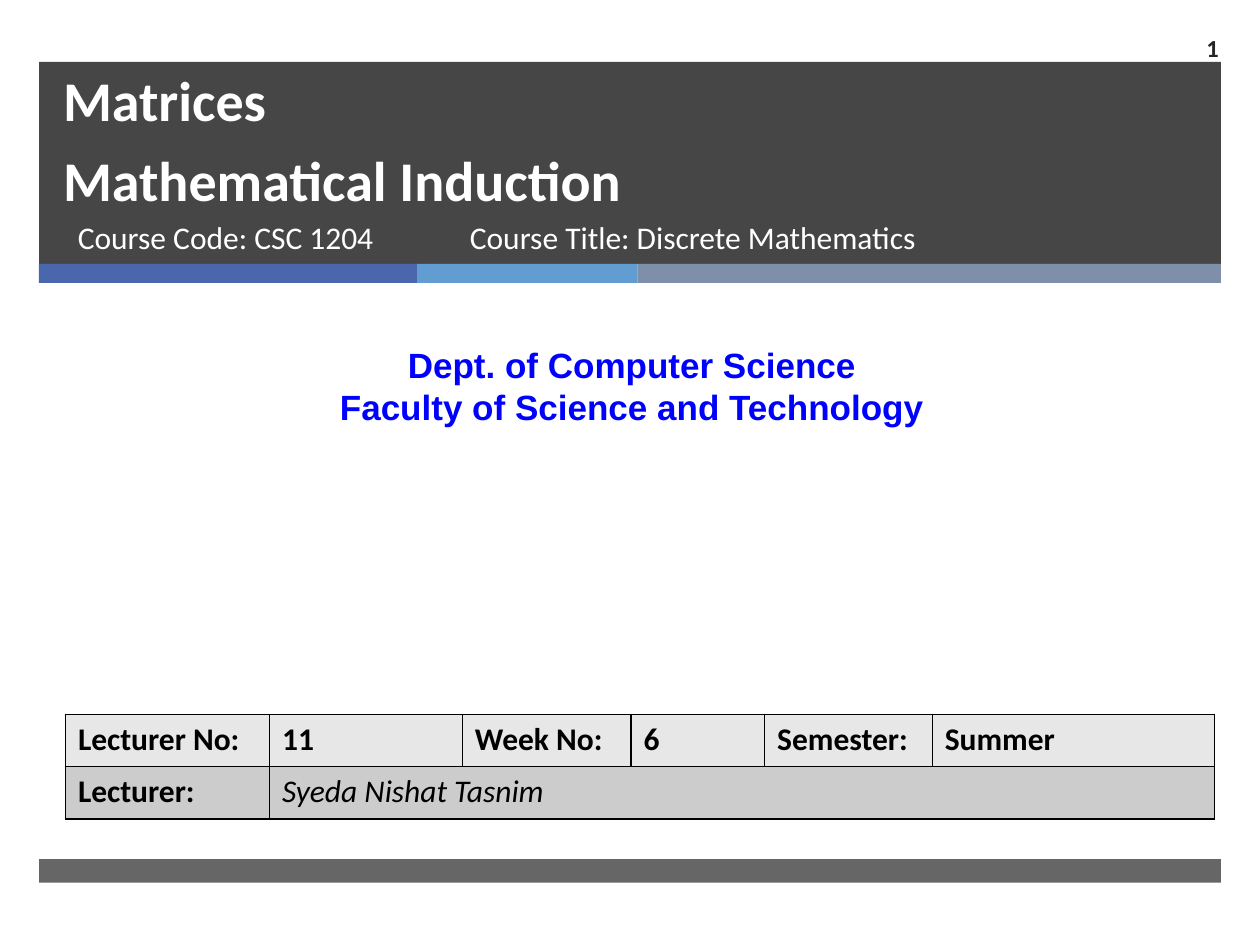
from lxml import etree
from pptx import Presentation
from pptx.dml.color import RGBColor
from pptx.enum import shapes, text
from pptx.oxml.ns import qn
from pptx.util import Pt

# Content
TITLE = "Matrices\vMathematical Induction"
DEPT = "Dept. of Computer Science\nFaculty of Science and Technology"
ROWS = [
    ["Lecturer No:", "11", "Week No:", "6", "Semester:", "Summer"],
    ["Lecturer:", "Syeda Nishat Tasnim"],
]
SHADES = ["E7E7E7", "CCCCCC"]
COLS = [116.6, 110.2, 96.5, 76.3, 95.8, 161.3]
ROW_H = 29.9

# Bands: left, top, width, height, colour, opacity in percent
LEFT, WIDE = 22.3, 675.4
BANDS = [
    (LEFT, 35.3, WIDE, 115.5, "262626", 85),
    (LEFT, 491, WIDE, 13.5, "262626", 70),
]
STRIPES = [(216, "4A66AC"), (126, "629DD1"), (333.4, "7F8FA9")]

# Text boxes: words, left, top, width, height, font, size, colour, bold, align
NEAR, MID, FAR = text.PP_ALIGN.LEFT, text.PP_ALIGN.CENTER, text.PP_ALIGN.RIGHT
BOXES = [
    ("Course Code: CSC 1204", 37.4, 121, 219.6, 38.2,
     "Calibri", 18, "FFFFFF", False, NEAR),
    (DEPT, 5.8, 193, 710.6, 55.4, "Arial", 20, "0000FF", True, MID),
    ("Course Title: Discrete Mathematics", 261.4, 121, 327.6, 38.2,
     "Calibri", 18, "FFFFFF", False, NEAR),
    ("1", 653.8, 13, 49.7, 28.1, "Calibri", 14, "262626", True, FAR),
]


def paint(fill, color):
    fill.solid()
    fill.fore_color.rgb = RGBColor.from_string(color)


def style(frame, face, size, color, bold, align=NEAR, italic=False):
    for para in frame.paragraphs:
        para.alignment = align
        for run in para.runs:
            font = run.font
            font.name, font.size = face, Pt(size)
            font.bold, font.italic = bold, italic
            font.color.rgb = RGBColor.from_string(color)


def add_band(slide, left, top, width, height, color, alpha=100):
    band = slide.shapes.add_shape(shapes.MSO_SHAPE.RECTANGLE, Pt(left), Pt(top),
                                  Pt(width), Pt(height))
    band.shadow.inherit = False
    band.line.fill.background()
    paint(band.fill, color)
    if alpha < 100:
        tint = band.element.spPr.find(".//" + qn("a:srgbClr"))
        etree.SubElement(tint, qn("a:alpha"), val=str(alpha * 1000))


def add_edges(cell):
    props = cell._tc.get_or_add_tcPr()
    for side in ("lnL", "lnR", "lnT", "lnB"):
        line = etree.SubElement(props, qn("a:" + side), w=str(Pt(1)))
        fill = etree.SubElement(line, qn("a:solidFill"))
        etree.SubElement(fill, qn("a:srgbClr"), val="000000")


def add_title(slide):
    title = slide.shapes.title
    title.left, title.top, title.width, title.height = (
        Pt(28.8), Pt(39.6), Pt(614.9), Pt(85.7))
    frame = title.text_frame
    frame.text = TITLE
    frame.auto_size = text.MSO_AUTO_SIZE.NONE
    frame.vertical_anchor = text.MSO_ANCHOR.BOTTOM
    frame.paragraphs[0].line_spacing = Pt(46)
    style(frame, "Calibri", 32, "FFFFFF", True)
    # Bring the title in front of the bands
    title.element.getparent().append(title.element)


def add_info(slide):
    table = slide.shapes.add_table(len(ROWS), len(COLS), Pt(37.4), Pt(408.2),
                                   Pt(sum(COLS)), Pt(ROW_H * len(ROWS))).table
    for col, width in zip(table.columns, COLS):
        col.width = Pt(width)
    for r, (row, shade) in enumerate(zip(ROWS, SHADES)):
        table.rows[r].height = Pt(ROW_H)
        for c in range(len(COLS)):
            cell = table.cell(r, c)
            add_edges(cell)
            paint(cell.fill, shade)
            if c < len(row):
                cell.text_frame.text = row[c]
                name = (r, c) == (1, 1)
                style(cell.text_frame, "Calibri", 18, "000000", not name,
                      italic=name)
    table.cell(1, 1).merge(table.cell(1, len(COLS) - 1))


def main():
    deck = Presentation()
    deck.slide_width, deck.slide_height = Pt(720), Pt(540)
    slide = deck.slides.add_slide(deck.slide_layouts[5])

    # Bands and the three-colour stripe
    for band in BANDS:
        add_band(slide, *band)
    left = LEFT
    for width, color in STRIPES:
        add_band(slide, left, 150.8, width, 10.8, color)
        left += width

    # Words and table
    add_title(slide)
    for words, x, y, w, h, *look in BOXES:
        frame = slide.shapes.add_textbox(Pt(x), Pt(y), Pt(w), Pt(h)).text_frame
        frame.word_wrap = True
        frame.text = words
        if words == "1":
            frame.vertical_anchor = text.MSO_ANCHOR.MIDDLE
        style(frame, *look)
    add_info(slide)
    deck.save("out.pptx")


if __name__ == "__main__":
    main()
